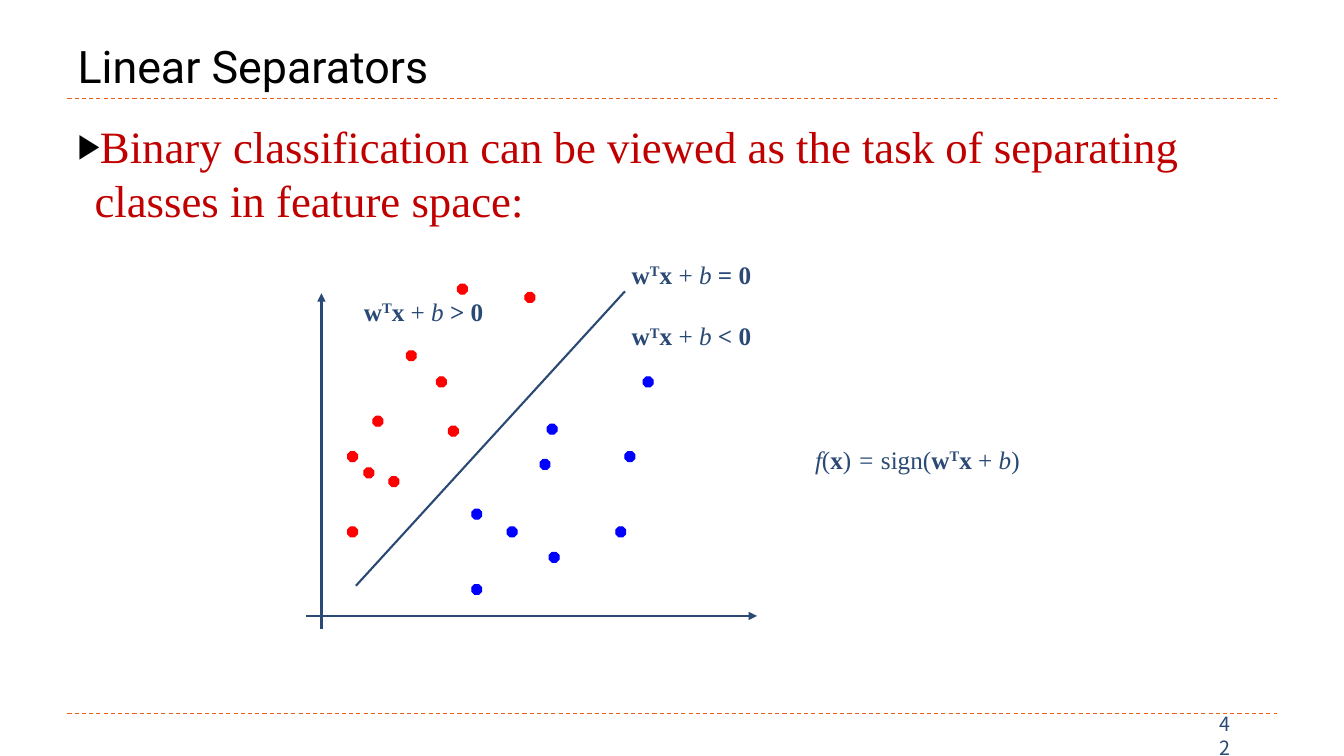
import pptx
import pptx.dml.color
import pptx.enum.dml
import pptx.enum.shapes
import pptx.enum.text
import pptx.oxml.ns
import pptx.util
from lxml import etree

Cm = pptx.util.Cm
Pt = pptx.util.Pt
qn = pptx.oxml.ns.qn
rgb = pptx.dml.color.RGBColor.from_string
COLORS = {
    "title": "000000",
    "statement": "C00000",
    "ink": "2A4A75",
    "rule": "EB641B",
    "positive": "FF0000",
    "negative": "0000FF",
}


def add_runs(paragraph, pieces, size, font_name, color):
    """Add (text, flags) pieces; flags hold b(old), i(talic), ^(superscript)."""
    for text, flags in pieces:
        run = paragraph.add_run()
        run.text = text
        formats = {"name": font_name, "size": Pt(size),
                   "bold": "b" in flags, "italic": "i" in flags}
        for attribute, value in formats.items():
            setattr(run.font, attribute, value)
        run.font.color.rgb = rgb(COLORS[color])
        if "^" in flags:
            run.font._element.set("baseline", "30000")


def add_line(start, end, color, width, dashed=False, arrow=False):
    line = slide.shapes.add_connector(
        pptx.enum.shapes.MSO_CONNECTOR.STRAIGHT,
        *[Cm(length) for length in start + end])
    line.line.color.rgb = rgb(COLORS[color])
    line.line.width = Pt(width)
    if dashed:
        line.line.dash_style = pptx.enum.dml.MSO_LINE.DASH
    properties = line._element.spPr
    if arrow:
        etree.SubElement(properties.find(qn("a:ln")), qn("a:tailEnd"), type="triangle")
    etree.SubElement(properties, qn("a:effectLst"))


deck = pptx.Presentation()
deck.slide_width, deck.slide_height = Cm(33.87), Cm(19.05)
slide = deck.slides.add_slide(deck.slide_layouts[1])

# Rules and page number
for rule_y in (2.49, 17.98):
    add_line((1.7, rule_y), (32.18, rule_y), "rule", 0.75, dashed=True)
page_number = slide.shapes.add_textbox(Cm(30.48), Cm(18.11), Cm(1.04), Cm(0.86)).text_frame
page_number.word_wrap = True
page_number.vertical_anchor = pptx.enum.text.MSO_ANCHOR.MIDDLE
add_runs(page_number.paragraphs[0], [("42", "")], 14, "Noto Sans CJK SC", "ink")

# Title and statement
title, statement = slide.shapes.title, slide.placeholders[1]
for holder, top, height, anchor in (
    (title, 0.43, 2.03, pptx.enum.text.MSO_ANCHOR.BOTTOM),
    (statement, 2.74, 15.04, pptx.enum.text.MSO_ANCHOR.TOP),
):
    holder.left, holder.top, holder.width, holder.height = (
        Cm(1.7), Cm(top), Cm(30.48), Cm(height))
    holder.text_frame.auto_size = pptx.enum.text.MSO_AUTO_SIZE.NONE
    holder.text_frame.vertical_anchor = anchor
    holder.text_frame.paragraphs[0].alignment = pptx.enum.text.PP_ALIGN.LEFT
    holder.text_frame.paragraphs[0].space_before = Pt(0)
add_runs(title.text_frame.paragraphs[0], [("Linear Separators", "")], 32, "Roboto", "title")

statement.text_frame.margin_top = Cm(0.25)
sentence = statement.text_frame.paragraphs[0]
bullet = sentence._p.get_or_add_pPr()
bullet.set("marL", str(Cm(0.43)))
bullet.set("indent", str(Cm(-0.43)))
bullet_color = etree.SubElement(bullet, qn("a:buClr"))
etree.SubElement(bullet_color, qn("a:srgbClr"), val=COLORS["title"])
etree.SubElement(bullet, qn("a:buSzPct"), val="76000")
etree.SubElement(bullet, qn("a:buChar"), char="▶")
add_runs(sentence, [(
    "Binary classification can be viewed as the task of separating "
    "classes in feature space:", "")], 32, "Times New Roman", "statement")

# Axes and separating line
add_line((8.1, 15.85), (8.1, 7.39), "ink", 2, arrow=True)
add_line((7.72, 15.52), (19.08, 15.52), "ink", 2, arrow=True)
add_line((8.97, 14.76), (15.75, 7.34), "ink", 1.5)

# Data points of both classes
points = {
    "positive": [(11, 9.5), (9.4, 10.49), (9.8, 12.01), (8.76, 13.28), (10.24, 8.84),
                 (8.76, 11.38), (9.17, 11.79), (11.3, 10.74), (11.53, 7.16), (13.23, 7.37)],
    "negative": [(13.79, 10.69), (12.78, 13.28), (15.52, 13.28), (11.89, 14.73),
                 (13.61, 11.58), (11.89, 12.83), (13.84, 13.92), (15.75, 11.38),
                 (16.21, 9.5)],
}
for label, places in points.items():
    for x, y in places:
        point = slide.shapes.add_shape(
            pptx.enum.shapes.MSO_SHAPE.OCTAGON, Cm(x), Cm(y), Cm(0.25), Cm(0.25))
        point.shadow.inherit = False
        point.fill.solid()
        point.fill.fore_color.rgb = rgb(COLORS[label])
        point.line.color.rgb = rgb(COLORS[label])
        point.line.width = Pt(0.75)

# Formulas
score = [("w", "b"), ("T", "b^"), ("x ", "b"), ("+ ", ""), ("b", "i")]
classifier = [("f", "i"), ("(", ""), ("x", "b"), (")", ""), (" = ", "i"), ("sign(", "")]
for x, y, width, formula in (
    (15.67, 6.4, 7.42, score + [(" = 0", "b")]),
    (15.67, 7.95, 7.42, score + [(" < 0", "b")]),
    (8.92, 7.34, 7.42, score + [(" > 0", "b")]),
    (20.29, 11.07, 8.15, classifier + score + [(")", "")]),
):
    frame = slide.shapes.add_textbox(Cm(x), Cm(y), Cm(width), Cm(1.27)).text_frame
    frame.word_wrap = True
    add_runs(frame.paragraphs[0], formula, 18, "Times New Roman", "ink")

deck.save("out.pptx")
